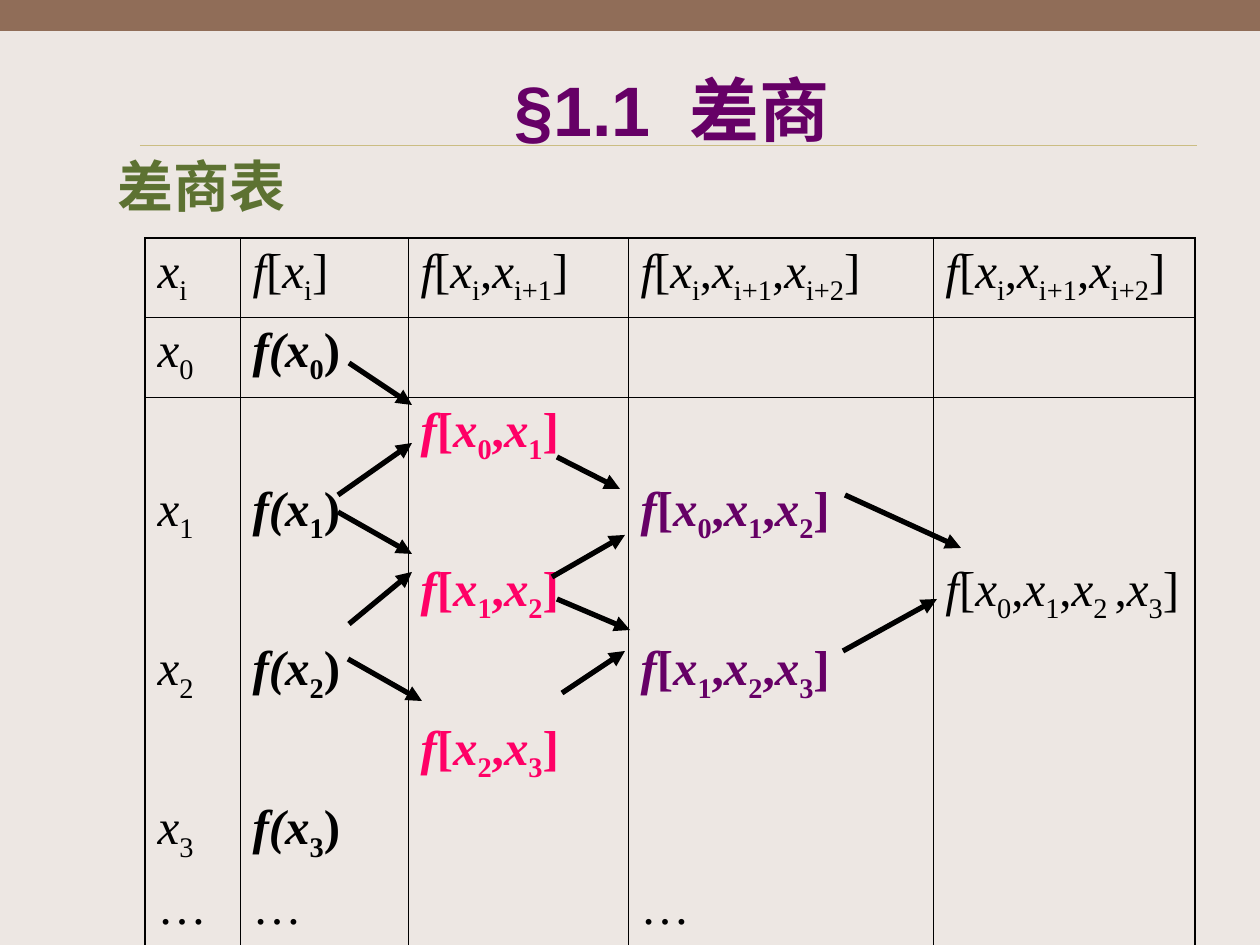
from itertools import groupby

from lxml import etree
from pptx import Presentation
from pptx import util as u
from pptx.dml.color import RGBColor
from pptx.enum import shapes, text
from pptx.oxml.ns import qn

BROWN = RGBColor(0x90, 0x6D, 0x58)
CREAM = RGBColor(0xED, 0xE7, 0xE3)
SAND = RGBColor(0xCB, 0xBD, 0x83)
PURPLE = RGBColor(0x66, 0x00, 0x66)
GREEN = RGBColor(0x5D, 0x72, 0x32)
PINK = RGBColor(0xFF, 0x00, 0x66)
BLACK = RGBColor(0x00, 0x00, 0x00)


def px(value):
    return round(value * 914400 / 126)


def add_line(slide, points, color, width):
    line = slide.shapes.add_connector(
        shapes.MSO_CONNECTOR.STRAIGHT, *map(px, points))
    line.line.color.rgb = color
    line.line.width = u.Pt(width)
    etree.SubElement(line._element.spPr, qn("a:effectLst"))
    return line


presentation = Presentation()
presentation.slide_width, presentation.slide_height = px(1260), px(945)
slide = presentation.slides.add_slide(presentation.slide_layouts[6])

# Background: brown band above a cream page
slide.background.fill.solid()
slide.background.fill.fore_color.rgb = BROWN
page = slide.shapes.add_shape(
    shapes.MSO_SHAPE.RECTANGLE, 0, px(31), px(1260), px(914))
page.shadow.inherit = False
page.fill.solid()
page.fill.fore_color.rgb = CREAM
page.line.fill.background()
add_line(slide, (140, 145, 1197, 145), SAND, 0.25)

# Title and subtitle
headings = [
    ("§1.1  差商", (147, 62, 1050, 93), 40, "Arial", PURPLE,
     text.MSO_ANCHOR.MIDDLE, text.PP_ALIGN.CENTER),
    ("差商表", (105, 145, 1092, 92), 32, "Times New Roman", GREEN,
     text.MSO_ANCHOR.TOP, text.PP_ALIGN.LEFT),
]
for words, box, size, name, color, anchor, alignment in headings:
    frame = slide.shapes.add_textbox(*map(px, box)).text_frame
    frame.word_wrap = True
    frame.vertical_anchor = anchor
    paragraph = frame.paragraphs[0]
    paragraph.alignment = alignment
    run = paragraph.add_run()
    run.text = words
    run.font.color.rgb = color
    for key, value in dict(size=u.Pt(size), name=name, bold=True).items():
        setattr(run.font, key, value)

# Table of divided differences: text between bars is subscript
rows = [
    ["x|i|", "f[x|i|]", "f[x|i|,x|i+1|]", "f[x|i|,x|i+1|,x|i+2|]",
     "f[x|i|,x|i+1|,x|i+2|]"],
    ["x|0|", "f(x|0|)", "", "", ""],
    ["", "", "f[x|0|,x|1|]", "", ""],
    ["x|1|", "f(x|1|)", "", "f[x|0|,x|1|,x|2|]", ""],
    ["", "", "f[x|1|,x|2|]", "", "f[x|0|,x|1|,x|2 |,x|3|]"],
    ["x|2|", "f(x|2|)", "", "f[x|1|,x|2|,x|3|]", ""],
    ["", "", "f[x|2|,x|3|]", "", ""],
    ["x|3|", "f(x|3|)", "", "", ""],
    ["…", "…", "", "…", ""],
]
widths = [95, 168, 220, 305, 262]
column_colors = [BLACK, BLACK, PINK, PURPLE, BLACK]
last_row, last_column = len(rows) - 1, len(widths) - 1
table_shape = slide.shapes.add_table(
    len(rows), len(widths), px(145), px(238), px(sum(widths)), px(704))
table = table_shape.table
table.first_row = table.horz_banding = False
# Plain style without fills or grid
table._tbl.tblPr.find(qn("a:tableStyleId")).text = (
    "{2D5ABB26-0587-4C30-8999-92F81FD0307C}")
for column, width in zip(table.columns, widths):
    column.width = px(width)

for r, row in enumerate(rows):
    table.rows[r].height = px(72 if r == last_row else 79)
    for c, formula in enumerate(row):
        cell = table.cell(r, c)

        # Borders: heavy outside, thin between columns and under the header
        borders = {"lnL": 0.45 if c else 1.08,
                   "lnR": 0.45 if c < last_column else 1.08}
        if r < 2:
            borders["lnT"] = 0.45 if r else 1.08
        if r in (0, last_row):
            borders["lnB"] = 1.08 if r else 0.45
        properties = cell._tc.get_or_add_tcPr()
        for tag, width in borders.items():
            border = etree.SubElement(
                properties, qn("a:" + tag), w=str(u.Pt(width)))
            fill = etree.SubElement(border, qn("a:solidFill"))
            etree.SubElement(fill, qn("a:srgbClr"), val=str(BLACK))
        cell.fill.background()

        # Formula: letters slanted, digits and brackets upright
        body = r > 0 and formula != "…"
        paragraph = cell.text_frame.paragraphs[0]
        for i, part in enumerate(formula.split("|")):
            subscript = i % 2 == 1
            for slanted, letters in groupby(
                    part, lambda x: not subscript and x in "fx("):
                # Only the round bracket directly after f is slanted
                run = paragraph.add_run()
                run.text = "".join(letters)
                run.font.color.rgb = column_colors[c] if body else BLACK
                style = dict(size=u.Pt(28), name="Times New Roman",
                             bold=body and 0 < c < last_column,
                             italic=slanted)
                for key, value in style.items():
                    setattr(run.font, key, value)
                if subscript:
                    run.font._element.set("baseline", "-25000")

# Arrows from each pair of entries to the next difference
arrows = [
    (349, 363, 412, 405), (338, 495, 412, 443), (338, 512, 412, 554),
    (349, 624, 412, 572), (348, 659, 422, 701),
    (557, 457, 620, 489), (552, 577, 625, 535), (557, 599, 630, 630),
    (562, 693, 625, 651),
    (845, 495, 961, 548), (843, 651, 937, 599),
]
for points in arrows:
    arrow = add_line(slide, points, BLACK, 3)
    etree.SubElement(arrow.line._get_or_add_ln(), qn("a:tailEnd"),
                     type="triangle")

presentation.save("out.pptx")
